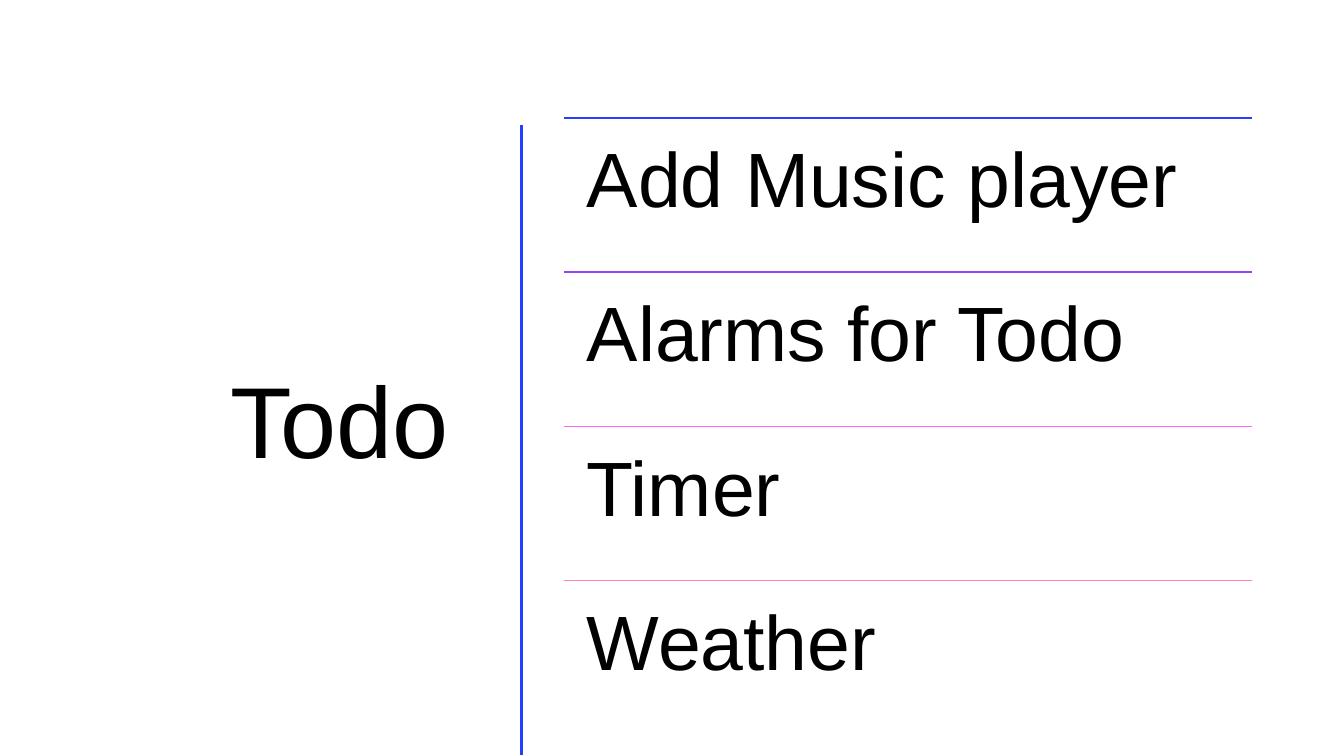
from lxml import etree
from pptx import Presentation
from pptx.dml.color import RGBColor
from pptx.enum.shapes import MSO_CONNECTOR
from pptx.enum.text import MSO_ANCHOR, MSO_AUTO_SIZE, PP_ALIGN
from pptx.oxml.ns import qn
from pptx.util import Inches, Pt

COLORS = {
    "background": "FFFFFF",
    "text": "000000",
    "divider": "243FFF",
    "blue": "243FFF",
    "purple": "9744FF",
    "magenta": "FF63FC",
    "pink": "FF83B6",
}
FONT = "Arial"
TODO_ITEMS = [
    ("Add Music player", "blue"),
    ("Alarms for Todo", "purple"),
    ("Timer", "magenta"),
    ("Weather", "pink"),
]
LIST_LEFT, LIST_TOP, LIST_WIDTH, ROW_HEIGHT = 5.59, 1.17, 6.83, 1.53


def rgb(name):
    return RGBColor.from_string(COLORS[name])


def write_text(tf, text, size, align):
    tf.word_wrap = True
    tf.auto_size = MSO_AUTO_SIZE.NONE
    p = tf.paragraphs[0]
    p.alignment = align
    p.line_spacing = 0.9
    r = p.add_run()
    r.text = text
    r.font.name = FONT
    r.font.size = Pt(size)
    r.font.color.rgb = rgb("text")


def add_title(s, text):
    title = s.shapes.title
    title.left, title.top = Inches(0.52), Inches(1.17)
    title.width, title.height = Inches(4.31), Inches(6.11)
    title.text_frame.vertical_anchor = MSO_ANCHOR.MIDDLE
    write_text(title.text_frame, text, 72, PP_ALIGN.RIGHT)


def add_line(s, x1, y1, x2, y2, color, width):
    line = s.shapes.add_connector(
        MSO_CONNECTOR.STRAIGHT, Inches(x1), Inches(y1), Inches(x2), Inches(y2))
    line.line.color.rgb = rgb(color)
    line.line.width = Pt(width)
    etree.SubElement(line._element.spPr, qn("a:effectLst"))


def add_item(s, top, text, color):
    """Add one list row: a coloured rule with its text below."""
    add_line(s, LIST_LEFT, top, LIST_LEFT + LIST_WIDTH, top, color, 1)
    box = s.shapes.add_textbox(
        Inches(LIST_LEFT), Inches(top), Inches(LIST_WIDTH), Inches(ROW_HEIGHT))
    tf = box.text_frame
    tf.margin_left = tf.margin_right = Inches(0.23)
    tf.margin_top = tf.margin_bottom = Inches(0.23)
    tf.vertical_anchor = MSO_ANCHOR.TOP
    write_text(tf, text, 55, PP_ALIGN.LEFT)


def main():
    prs = Presentation()
    prs.slide_width, prs.slide_height = Inches(13.33), Inches(7.5)
    s = prs.slides.add_slide(prs.slide_layouts.get_by_name("Title Only"))
    s.background.fill.solid()
    s.background.fill.fore_color.rgb = rgb("background")

    add_title(s, "Todo ")
    add_line(s, 5.17, 1.24, 5.17, 7.49, "divider", 2)
    for row, (text, color) in enumerate(TODO_ITEMS):
        add_item(s, LIST_TOP + row * ROW_HEIGHT, text, color)

    prs.save("out.pptx")


if __name__ == "__main__":
    main()
